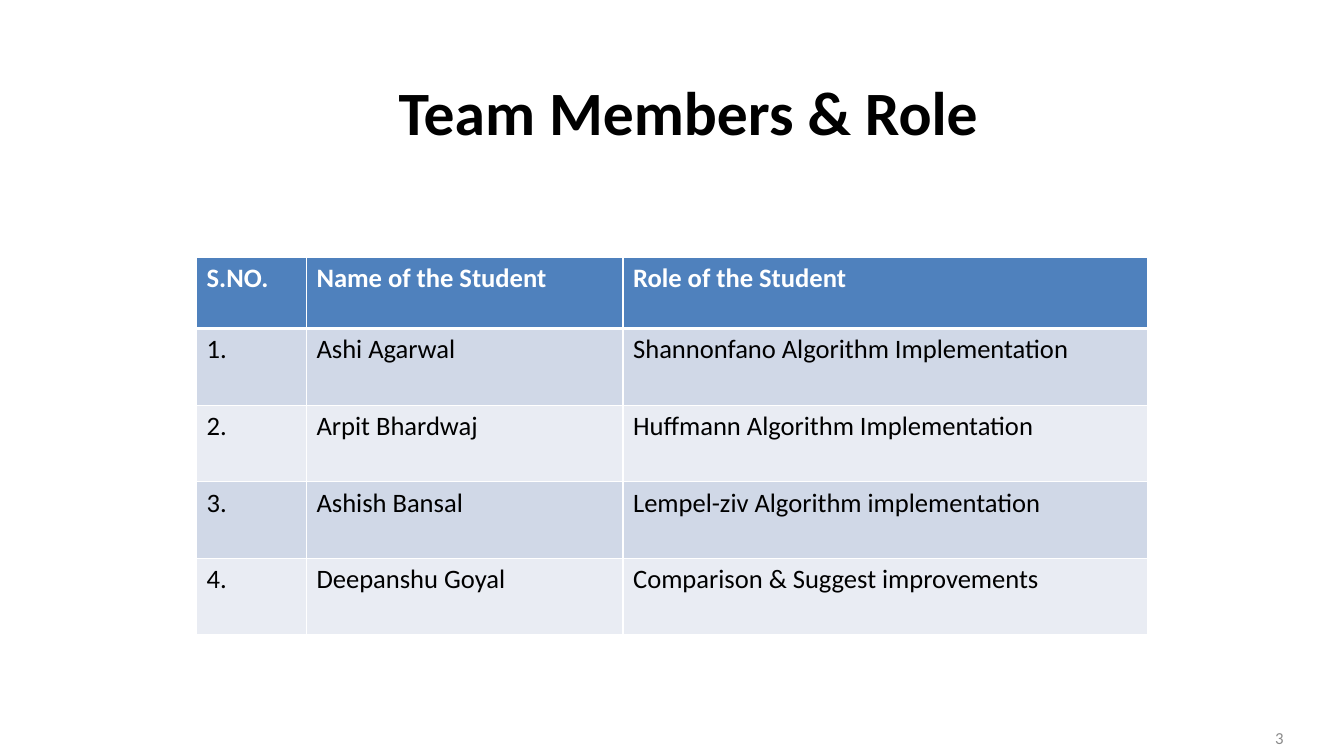
from dataclasses import dataclass

from lxml import etree
from pptx import Presentation
from pptx.dml.color import RGBColor
from pptx.enum import text as t
from pptx.oxml import ns
from pptx.slide import Slide
from pptx.table import _Cell as Cell
from pptx import util as u

PX = 9144  # EMU in one px, 100 px to the inch


@dataclass(frozen=True)
class Theme:
    font: str = "Calibri"
    ink: str = "000000"
    white: str = "FFFFFF"
    grey: str = "8B8B8B"
    head: str = "4F81BD"
    bands: tuple[str, str] = ("D0D8E7", "E9ECF3")
    title: int = 44
    body: int = 19
    small: int = 12
    thin: float = 0.96
    thick: float = 3


@dataclass(frozen=True)
class Label:
    words: str
    box: tuple[int, int, int, int]
    size: int
    color: str
    align: t.PP_ALIGN
    bold: bool = False


@dataclass(frozen=True)
class Member:
    name: str
    role: str


THEME = Theme()
LABELS = [
    Label("3", (972, 712, 311, 40), THEME.small, THEME.grey, t.PP_ALIGN.RIGHT),
    Label("Team Members & Role", (83, 47, 1200, 125), THEME.title, THEME.ink,
          t.PP_ALIGN.CENTER, True),
]
HEADS = ("S.NO.", "Name of the Student", "Role of the Student")
TEAM = [
    Member("Ashi Agarwal", "Shannonfano Algorithm Implementation"),
    Member("Arpit Bhardwaj", "Huffmann Algorithm Implementation"),
    Member("Ashish Bansal", "Lempel-ziv Algorithm implementation"),
    Member("Deepanshu Goyal", "Comparison & Suggest improvements"),
]
LEFT, TOP = 195, 255
WIDTHS = (109, 314, 520)
HEAD_H, ROW_H = 71, 76


def style(frame: t, size: int, color: str, bold: bool) -> None:
    font = frame.paragraphs[0].font
    font.name, font.size, font.bold = THEME.font, u.Pt(size), bold
    font.color.rgb = RGBColor.from_string(color)


def add_label(slide: Slide, label: Label) -> None:
    box = slide.shapes.add_textbox(*(n * PX for n in label.box))
    frame = box.text_frame
    frame.word_wrap = True
    frame.vertical_anchor = t.MSO_ANCHOR.MIDDLE
    frame.text = label.words
    frame.paragraphs[0].alignment = label.align
    style(frame, label.size, label.color, label.bold)


def add_edges(cell: Cell, top: float, bottom: float) -> None:
    """Draw white cell borders; sides are thin, widths are in points."""
    props = cell._tc.get_or_add_tcPr()
    edges = {"L": THEME.thin, "R": THEME.thin, "T": top, "B": bottom}
    for side, width in edges.items():
        line = etree.SubElement(props, ns.qn(f"a:ln{side}"), w=str(u.Pt(width)))
        fill = etree.SubElement(line, ns.qn("a:solidFill"))
        etree.SubElement(fill, ns.qn("a:srgbClr"), val=THEME.white)


def fill_cell(cell: Cell, words: str, row: int) -> None:
    head = row == 0
    add_edges(cell, THEME.thick if row == 1 else THEME.thin,
              THEME.thick if head else THEME.thin)
    cell.fill.solid()
    shade = THEME.head if head else THEME.bands[(row - 1) % 2]
    cell.fill.fore_color.rgb = RGBColor.from_string(shade)
    cell.text = words
    style(cell.text_frame, THEME.body, THEME.white if head else THEME.ink, head)


def add_team(slide: Slide) -> None:
    rows = [HEADS] + [(f"{n}.", m.name, m.role) for n, m in enumerate(TEAM, 1)]
    high = HEAD_H + ROW_H * len(TEAM)
    grid = slide.shapes.add_table(len(rows), len(HEADS), LEFT * PX, TOP * PX,
                                  sum(WIDTHS) * PX, high * PX).table
    for col, width in zip(grid.columns, WIDTHS):
        col.width = width * PX
    for r, row in enumerate(rows):
        grid.rows[r].height = (ROW_H if r else HEAD_H) * PX
        for c, words in enumerate(row):
            fill_cell(grid.cell(r, c), words, r)


def main() -> None:
    deck = Presentation()
    deck.slide_width, deck.slide_height = 1333 * PX, 750 * PX
    slide = deck.slides.add_slide(deck.slide_layouts[6])
    for label in LABELS:
        add_label(slide, label)
    add_team(slide)
    deck.save("out.pptx")


if __name__ == "__main__":
    main()
